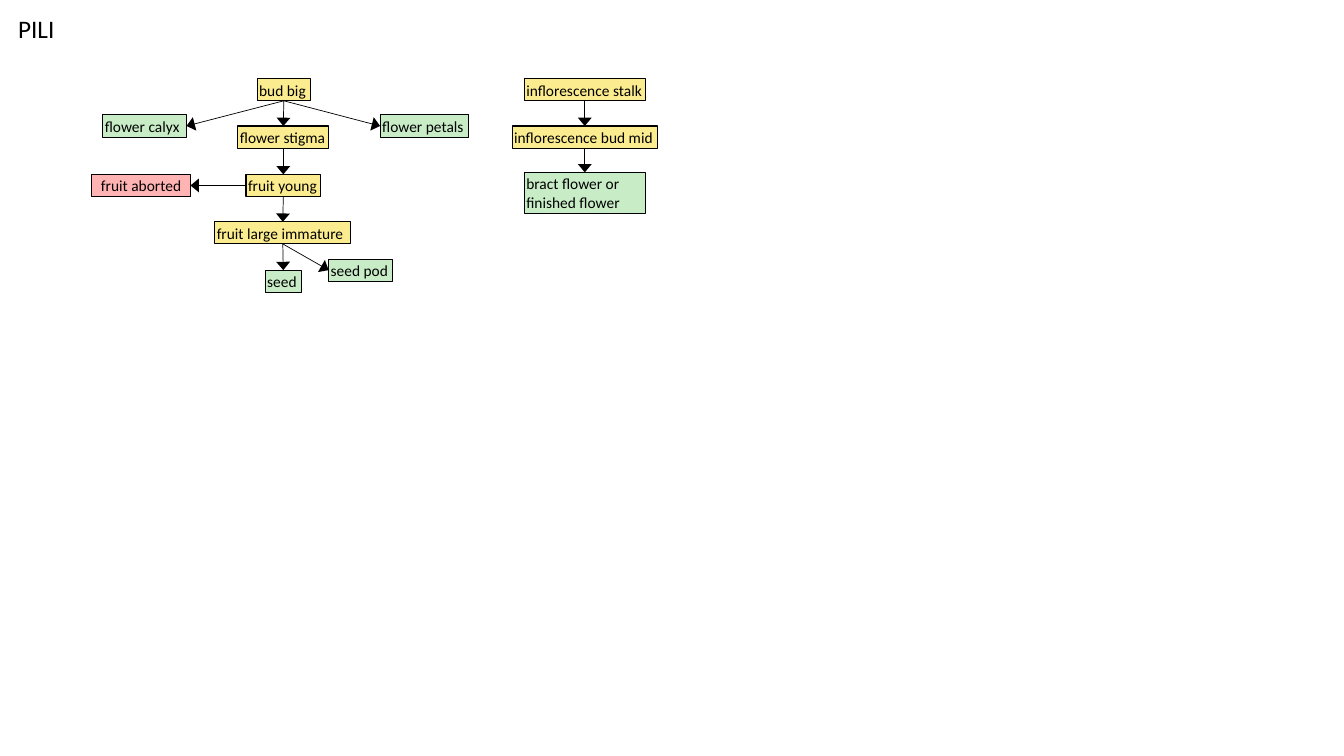
from dataclasses import dataclass

from pptx import Presentation
from pptx.dml.color import RGBColor
from pptx.enum.shapes import MSO_CONNECTOR, MSO_SHAPE
from pptx.enum.text import MSO_ANCHOR, MSO_AUTO_SIZE, PP_ALIGN
from pptx.oxml.ns import qn
from pptx.util import Pt
from lxml.etree import SubElement

PX = 9144  # EMU per px, 100 px to the inch
TOP, LEFT, BOTTOM, RIGHT = range(4)  # connection sites of a rectangle


@dataclass(frozen=True)
class Theme:
    font: str = "Calibri"
    title_size: int = 18
    box_size: int = 11
    box_line: float = 0.75
    arrow_line: float = 0.5
    ink: str = "000000"
    stage: str = "FBEC8F"
    harvest: str = "C8ECC6"
    failed: str = "FFB3B3"


THEME = Theme()

# text, left, top, width, height, fill, wraps
BOXES = [
    ("bud big", 255, 78, 53, 22, THEME.stage, False),
    ("flower calyx", 102, 114, 83, 22, THEME.harvest, True),
    ("flower petals", 377, 114, 88, 22, THEME.harvest, True),
    ("flower stigma", 236, 125, 90, 22, THEME.stage, False),
    ("fruit young", 244, 173, 74, 22, THEME.stage, False),
    ("fruit aborted", 91, 173, 98, 22, THEME.failed, True),
    ("fruit large immature", 213, 220, 135, 22, THEME.stage, False),
    ("seed", 263, 268, 36, 22, THEME.harvest, False),
    ("seed pod", 326, 257, 63, 22, THEME.harvest, False),
    ("inflorescence stalk", 520, 78, 120, 22, THEME.stage, False),
    ("inflorescence bud mid", 508, 125, 144, 22, THEME.stage, False),
    ("bract flower or finished flower", 520, 171, 120, 41, THEME.harvest, True),
]

# from, site, to, site
ARROWS = [
    ("bud big", BOTTOM, "flower calyx", RIGHT),
    ("bud big", BOTTOM, "flower stigma", TOP),
    ("bud big", BOTTOM, "flower petals", LEFT),
    ("flower stigma", BOTTOM, "fruit young", TOP),
    ("fruit young", LEFT, "fruit aborted", RIGHT),
    ("fruit young", BOTTOM, "fruit large immature", TOP),
    ("fruit large immature", BOTTOM, "seed", TOP),
    ("fruit large immature", BOTTOM, "seed pod", LEFT),
    ("inflorescence stalk", BOTTOM, "inflorescence bud mid", TOP),
    ("inflorescence bud mid", BOTTOM, "bract flower or finished flower", TOP),
]


def color(value):
    return RGBColor.from_string(value)


def place(shape, left, top, width, height):
    shape.left, shape.top = left * PX, top * PX
    shape.width, shape.height = width * PX, height * PX


def write(shape, text, size, wraps, margins, alignment=PP_ALIGN.LEFT):
    frame = shape.text_frame
    frame.text = text
    frame.word_wrap = wraps
    frame.auto_size = MSO_AUTO_SIZE.SHAPE_TO_FIT_TEXT
    frame.vertical_anchor = MSO_ANCHOR.TOP
    side, edge = margins
    frame.margin_left = frame.margin_right = side * PX
    frame.margin_top = frame.margin_bottom = edge * PX
    paragraph = frame.paragraphs[0]
    paragraph.alignment = alignment
    font = paragraph.runs[0].font
    font.name, font.size = THEME.font, Pt(size)
    font.color.rgb = color(THEME.ink)


def add_title(slide, text):
    title = slide.shapes.title
    place(title, 8, 8, 70, 40)
    write(title, text, THEME.title_size, False, (10, 5))


def add_box(slide, text, left, top, width, height, fill, wraps):
    box = slide.shapes.add_shape(MSO_SHAPE.RECTANGLE, 0, 0, 0, 0)
    place(box, left, top, width, height)
    box.shadow.inherit = False
    box.fill.solid()
    box.fill.fore_color.rgb = color(fill)
    box.line.color.rgb = color(THEME.ink)
    box.line.width = Pt(THEME.box_line)
    alignment = PP_ALIGN.CENTER if fill == THEME.failed else PP_ALIGN.LEFT
    write(box, text, THEME.box_size, wraps, (2, 2), alignment)
    return box


def add_arrow(slide, start, start_site, end, end_site):
    arrow = slide.shapes.add_connector(MSO_CONNECTOR.STRAIGHT, 0, 0, 0, 0)
    arrow.begin_connect(start, start_site)
    arrow.end_connect(end, end_site)
    arrow.line.color.rgb = color(THEME.ink)
    arrow.line.width = Pt(THEME.arrow_line)
    # Wide arrowhead, and no shadow
    properties = arrow.line._get_or_add_ln()
    SubElement(properties, qn("a:tailEnd"), type="triangle", w="lg", len="med")
    SubElement(properties.getparent(), qn("a:effectLst"))


def main():
    presentation = Presentation()
    presentation.slide_width, presentation.slide_height = 1333 * PX, 750 * PX
    slide = presentation.slides.add_slide(presentation.slide_layouts[5])
    add_title(slide, "PILI")

    # Growth stages
    boxes = {box[0]: add_box(slide, *box) for box in BOXES}

    # Transitions
    for start, start_site, end, end_site in ARROWS:
        add_arrow(slide, boxes[start], start_site, boxes[end], end_site)

    presentation.save("out.pptx")


if __name__ == "__main__":
    main()
